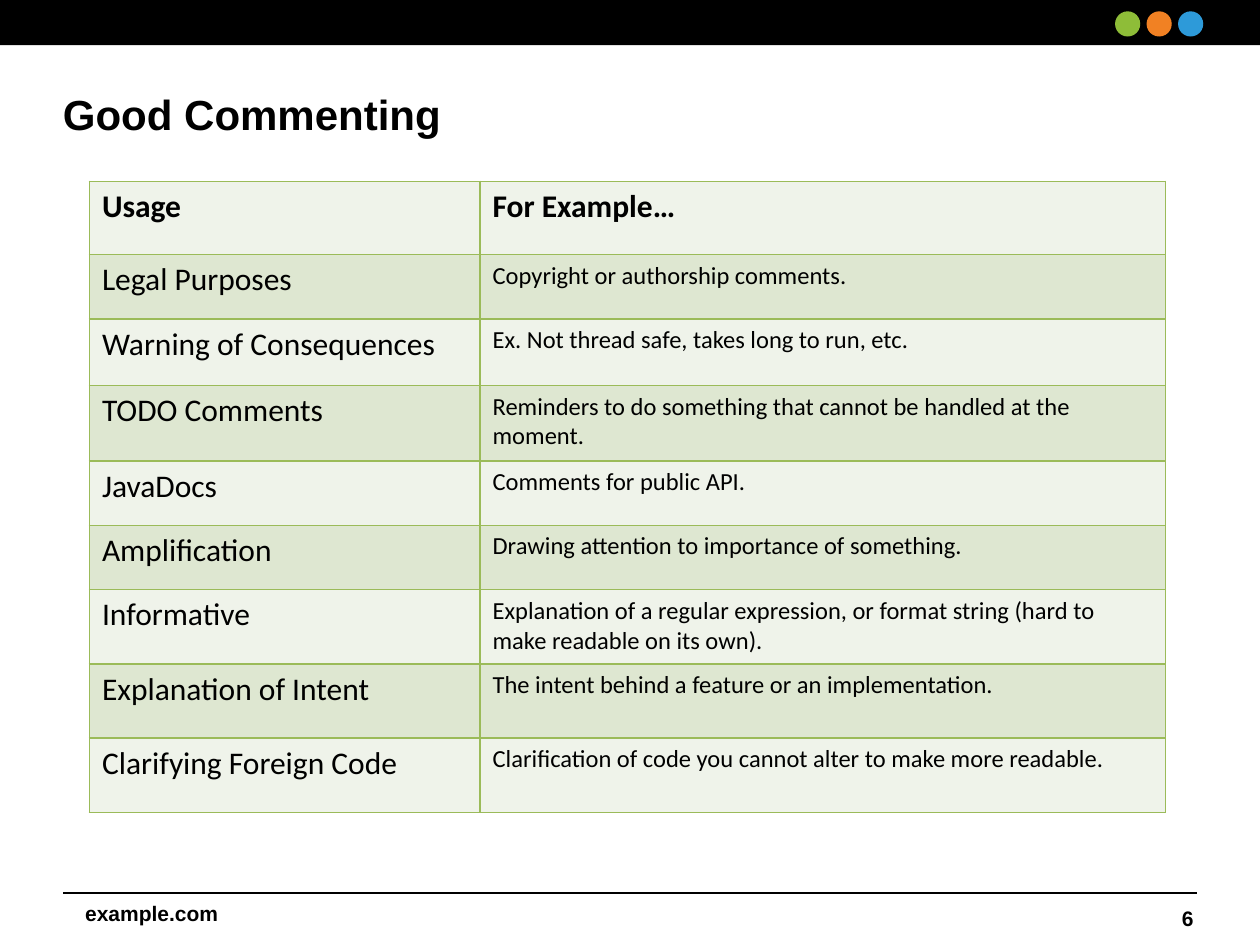
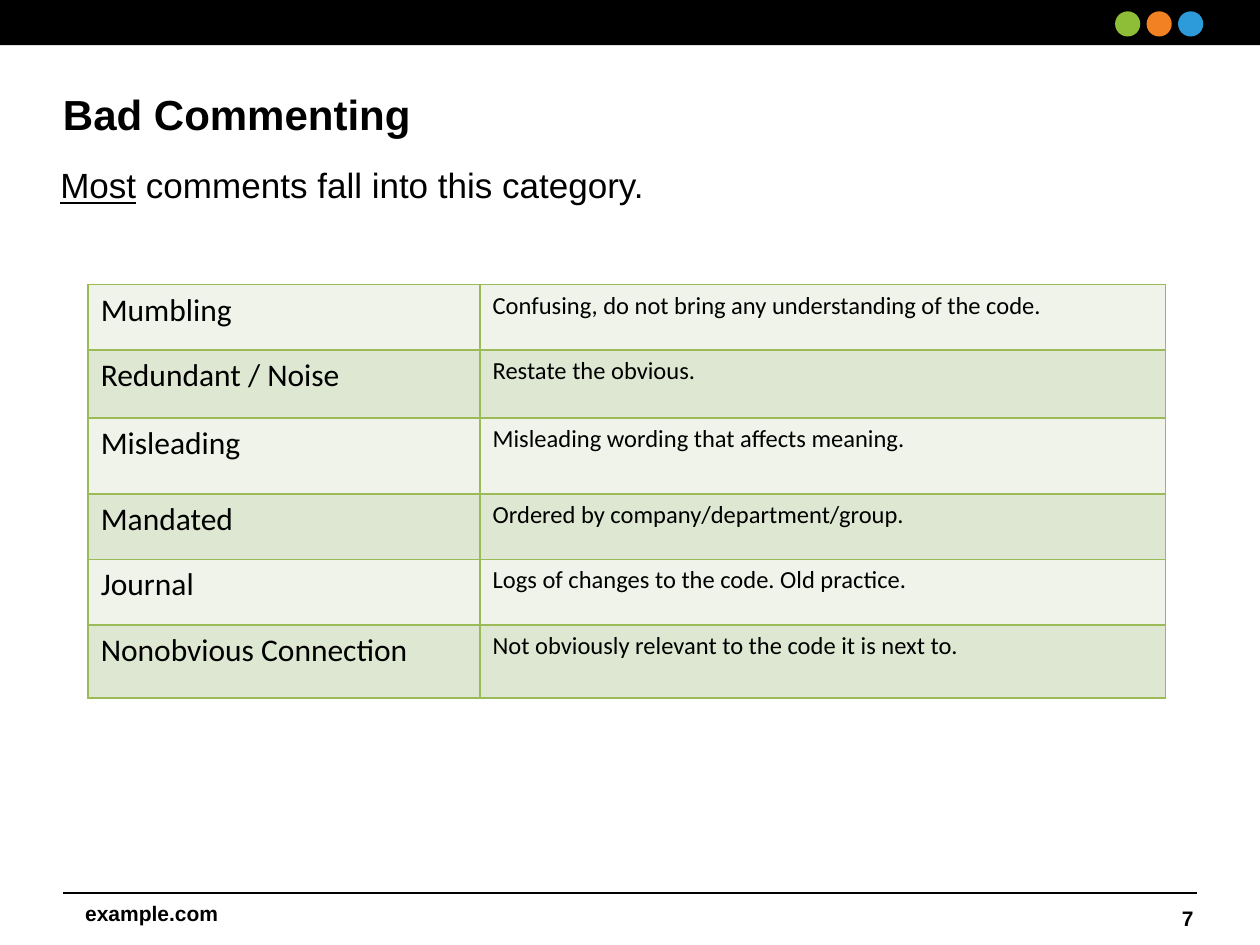
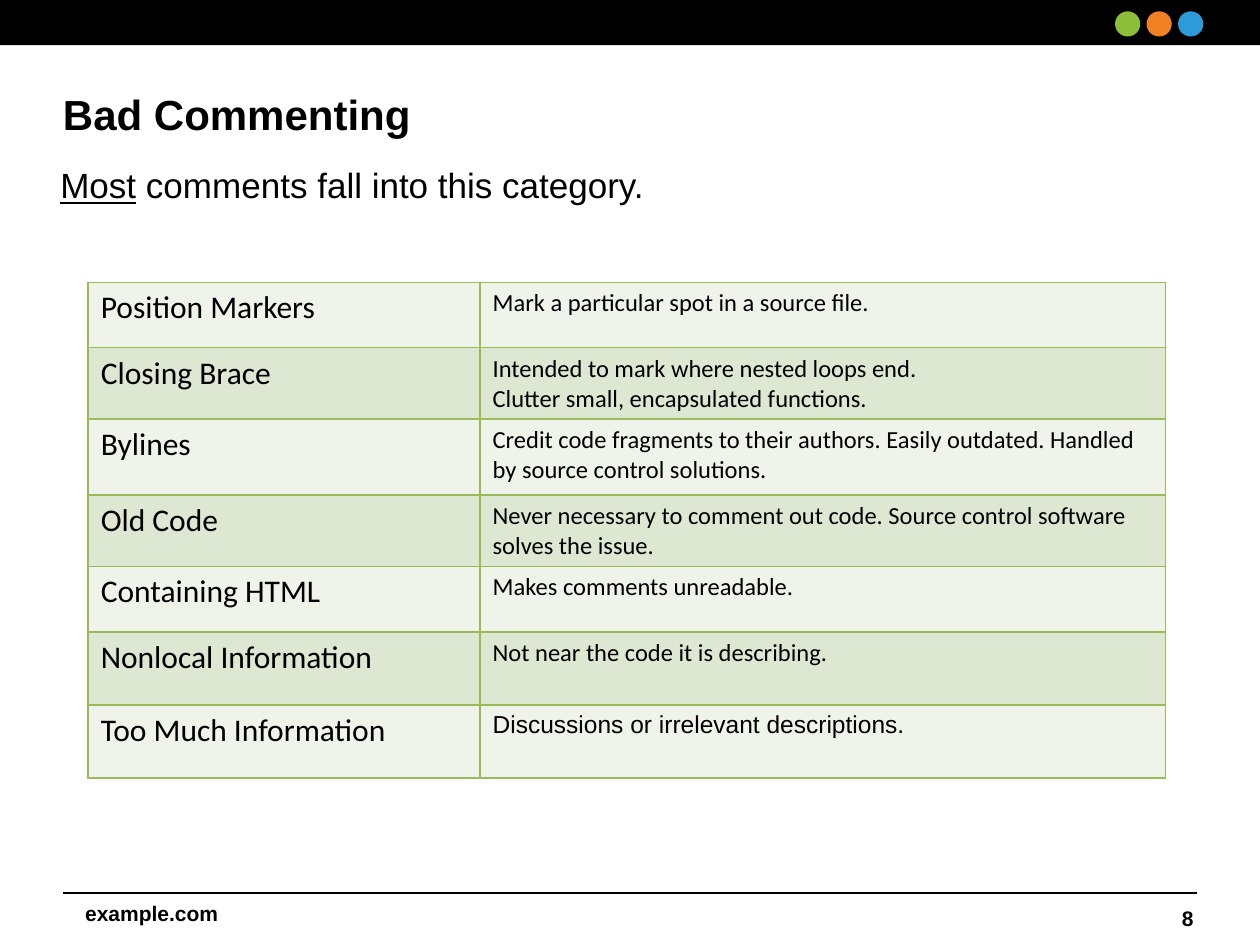
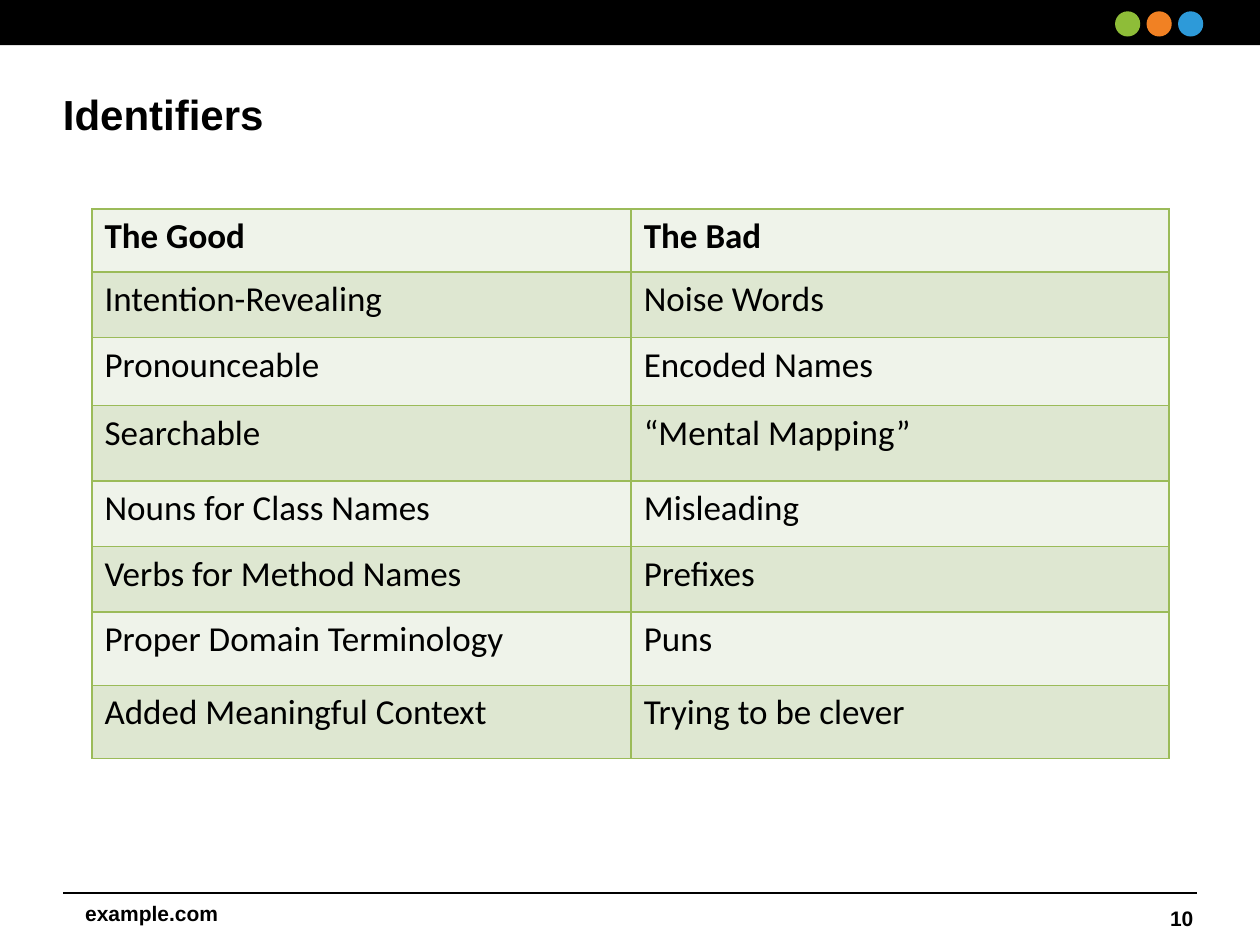
from lxml import etree
from pptx import Presentation
from pptx.dml.color import RGBColor
from pptx.enum import shapes, text
from pptx.oxml import ns
from pptx.util import Inches, Pt

# Shared look
BLACK = RGBColor(0x00, 0x00, 0x00)
DOT_COLORS = [RGBColor(0x8E, 0xBD, 0x38), RGBColor(0xF1, 0x81, 0x23), RGBColor(0x2D, 0x9A, 0xD9)]
ROW_FILLS = [RGBColor(0xEF, 0xF3, 0xEA), RGBColor(0xDE, 0xE7, 0xD1)]
BORDER = RGBColor(0x9B, 0xBB, 0x59)
HEADING_FONT, TABLE_FONT = "Arial", "Calibri"
FOOTER = "example.com"
LEAD = [("Most", True), (" comments fall into this category.", False)]

# Content
SLIDES = [
    {
        "number": 6, "title": "Good Commenting", "header": True,
        "at": (0.71, 1.44), "columns": (3.1, 5.44), "sizes": (18, 14),
        "heights": (0.58, 0.51, 0.53, 0.6, 0.51, 0.51, 0.59, 0.59, 0.59),
        "rows": [
            ("Usage", "For Example…"),
            ("Legal Purposes", "Copyright or authorship comments."),
            ("Warning of Consequences", "Ex. Not thread safe, takes long to run, etc."),
            ("TODO Comments", "Reminders to do something that cannot be handled at the moment."),
            ("JavaDocs", "Comments for public API."),
            ("Amplification", "Drawing attention to importance of something."),
            ("Informative", "Explanation of a regular expression, or format string "
                            "(hard to make readable on its own)."),
            ("Explanation of Intent", "The intent behind a feature or an implementation."),
            ("Clarifying Foreign Code", "Clarification of code you cannot alter to make more readable."),
        ],
    },
    {
        "number": 7, "title": "Bad Commenting", "lead": LEAD,
        "at": (0.7, 2.26), "columns": (3.11, 5.44), "sizes": (18, 14),
        "heights": (0.52, 0.54, 0.6, 0.52, 0.52, 0.58),
        "rows": [
            ("Mumbling", "Confusing, do not bring any understanding of the code."),
            ("Redundant / Noise", "Restate the obvious."),
            ("Misleading", "Misleading wording that affects meaning."),
            ("Mandated", "Ordered by company/department/group."),
            ("Journal", "Logs of changes to the code. Old practice."),
            ("Nonobvious Connection", "Not obviously relevant to the code it is next to."),
        ],
    },
    {
        "number": 8, "title": "Bad Commenting", "lead": LEAD,
        "at": (0.7, 2.24), "columns": (3.11, 5.44), "sizes": (18, 14),
        "heights": (0.52, 0.54, 0.6, 0.52, 0.52, 0.58, 0.58),
        "fonts": {(6, 1): HEADING_FONT},
        "rows": [
            ("Position Markers", "Mark a particular spot in a source file."),
            ("Closing Brace", "Intended to mark where nested loops end.\v"
                              "Clutter small, encapsulated functions."),
            ("Bylines", "Credit code fragments to their authors. Easily outdated. "
                        "Handled by source control solutions."),
            ("Old Code", "Never necessary to comment out code. "
                         "Source control software solves the issue."),
            ("Containing HTML", "Makes comments unreadable."),
            ("Nonlocal Information", "Not near the code it is describing."),
            ("Too Much Information", "Discussions or irrelevant descriptions."),
        ],
    },
    {
        "number": 10, "title": "Identifiers", "header": True,
        "at": (0.73, 1.66), "columns": (4.28, 4.27), "sizes": (20, 20),
        "heights": (0.5, 0.52, 0.54, 0.6, 0.52, 0.52, 0.58, 0.58),
        "rows": [
            ("The Good", "The Bad"),
            ("Intention-Revealing", "Noise Words"),
            ("Pronounceable", "Encoded Names"),
            ("Searchable", "“Mental Mapping”"),
            ("Nouns for Class Names", "Misleading"),
            ("Verbs for Method Names", "Prefixes"),
            ("Proper Domain Terminology", "Puns"),
            ("Added Meaningful Context", "Trying to be clever"),
        ],
    },
]


def format_run(run, size, bold=False, font=HEADING_FONT, underline=False):
    run.font.name, run.font.size, run.font.bold = font, Pt(size), bold
    run.font.color.rgb = BLACK
    if underline:
        run.font.underline = True


def add_text(slide, box, pieces, size, bold=False, align=None, middle=False, wrap=True):
    frame = slide.shapes.add_textbox(*map(Inches, box)).text_frame
    frame.word_wrap = wrap
    if middle:
        frame.vertical_anchor = text.MSO_ANCHOR.MIDDLE
    paragraph = frame.paragraphs[0]
    paragraph.alignment = align
    for words, underline in pieces:
        run = paragraph.add_run()
        run.text = words
        format_run(run, size, bold, underline=underline)
    return frame


def add_filled(slide, kind, box, color):
    shape = slide.shapes.add_shape(kind, *map(Inches, box))
    shape.shadow.inherit = False
    shape.fill.solid()
    shape.fill.fore_color.rgb = color
    shape.line.fill.background()


def add_frame(slide, number):
    # Footer
    right = text.PP_ALIGN.RIGHT
    add_text(slide, (0.44, 7.1, 1.39, 0.3), [(FOOTER, False)], 12, True, right, True, wrap=False)
    line = slide.shapes.add_connector(shapes.MSO_CONNECTOR.STRAIGHT,
                                      *map(Inches, (0.5, 7.09, 9.5, 7.09)))
    line.line.color.rgb, line.line.width = BLACK, Pt(1)
    etree.SubElement(line._element.spPr, ns.qn("a:effectLst"))
    add_text(slide, (7.24, 7.09, 2.33, 0.4), [(str(number), False)], 12, True, right, True)
    # Top band with dots
    add_filled(slide, shapes.MSO_SHAPE.RECTANGLE, (0, 0, 10, 0.36), BLACK)
    for index, color in enumerate(DOT_COLORS):
        add_filled(slide, shapes.MSO_SHAPE.OVAL, (8.85 + 0.25 * index, 0.09, 0.2, 0.2), color)


def add_title(slide, title):
    frame = add_text(slide, (0.5, 0.7, 9, 0.45), [(title, False)], 24, True)
    frame.margin_left = frame.margin_right = frame.margin_top = 0
    frame.margin_bottom = Inches(0.05)


def add_borders(cell):
    properties = cell._tc.get_or_add_tcPr()
    for side in ("a:lnL", "a:lnR", "a:lnT", "a:lnB"):
        line = etree.SubElement(properties, ns.qn(side), w=str(Pt(1)))
        fill = etree.SubElement(line, ns.qn("a:solidFill"))
        etree.SubElement(fill, ns.qn("a:srgbClr"), val=str(BORDER))


def add_grid(slide, content):
    rows, columns, heights = content["rows"], content["columns"], content["heights"]
    box = (*content["at"], sum(columns), sum(heights))
    table = slide.shapes.add_table(len(rows), len(columns), *map(Inches, box)).table
    table.first_row = table.horz_banding = False
    for column, width in zip(table.columns, columns):
        column.width = Inches(width)
    for row, height in zip(table.rows, heights):
        row.height = Inches(height)
    for r, row in enumerate(rows):
        is_header = r == 0 and content.get("header", False)
        for c, words in enumerate(row):
            cell = table.cell(r, c)
            add_borders(cell)
            cell.fill.solid()
            cell.fill.fore_color.rgb = ROW_FILLS[r % 2]
            paragraph = cell.text_frame.paragraphs[0]
            paragraph.text = words
            size = content["sizes"][0 if is_header else c]
            font = content.get("fonts", {}).get((r, c), TABLE_FONT)
            for run in paragraph.runs:
                format_run(run, size, is_header, font)


# Build the slides
presentation = Presentation()
presentation.slide_width, presentation.slide_height = Inches(10), Inches(7.5)
for content in SLIDES:
    slide = presentation.slides.add_slide(presentation.slide_layouts[6])
    add_frame(slide, content["number"])
    add_title(slide, content["title"])
    if "lead" in content:
        add_text(slide, (0.38, 1.25, 8.71, 0.65), content["lead"], 20)
    add_grid(slide, content)
presentation.save("out.pptx")
